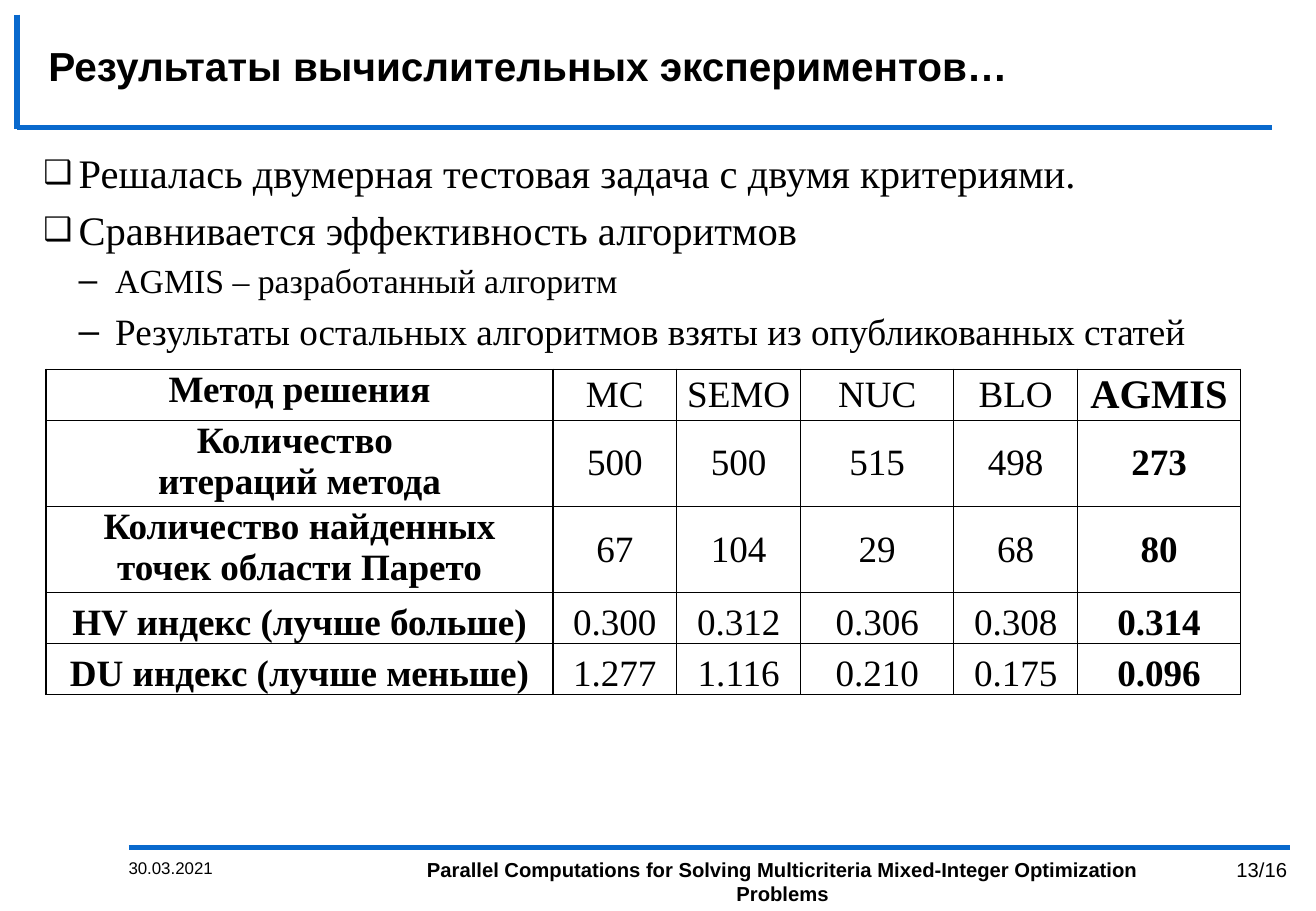
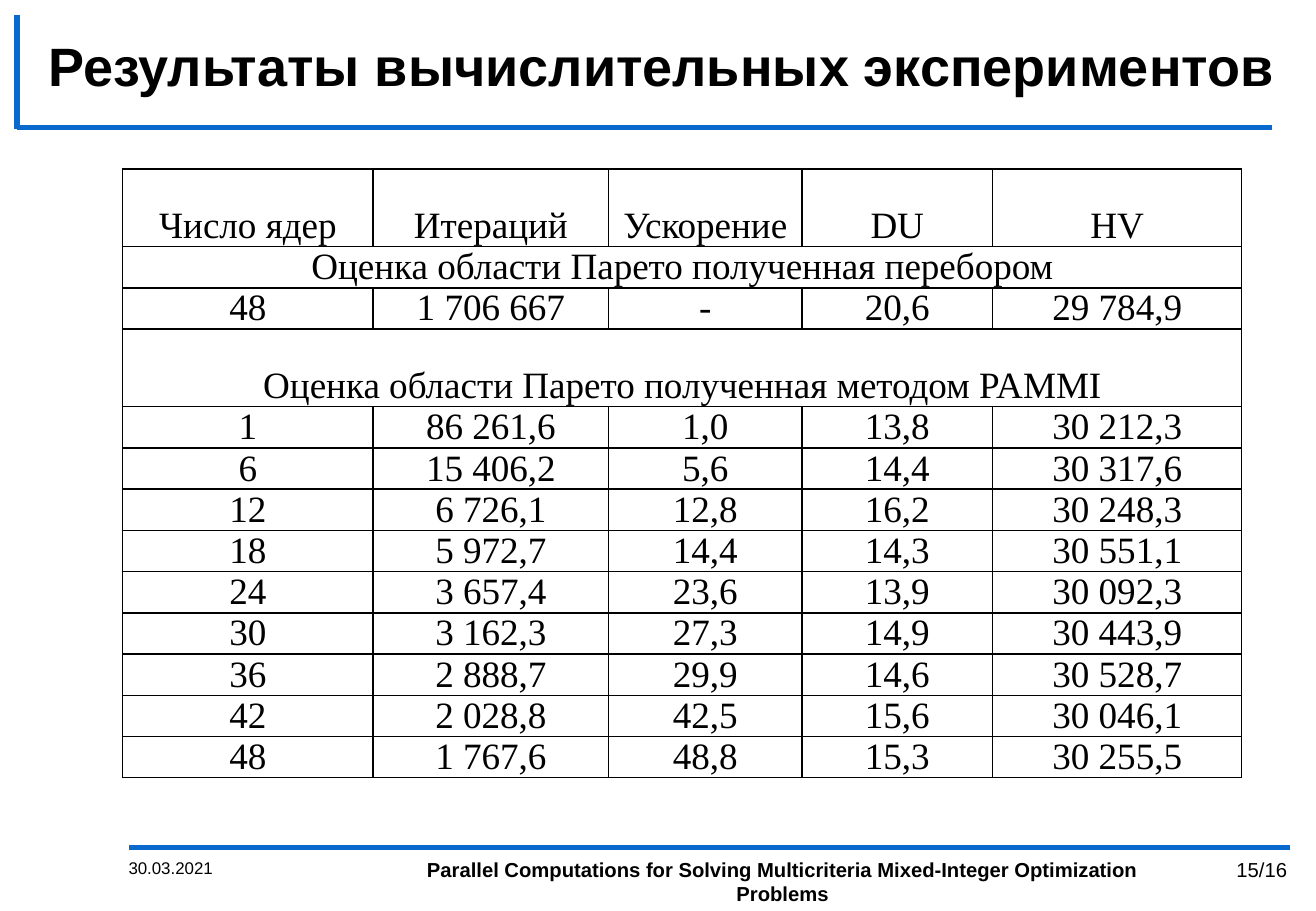
from pptx import Presentation
from pptx.dml.color import RGBColor
from pptx.enum.shapes import MSO_CONNECTOR
from pptx.enum.text import MSO_ANCHOR, PP_ALIGN
from pptx.oxml import parse_xml
from pptx.oxml.ns import nsdecls
from pptx.util import Inches, Pt

LINE = MSO_CONNECTOR.STRAIGHT
TOP, MID, LOW = MSO_ANCHOR.TOP, MSO_ANCHOR.MIDDLE, MSO_ANCHOR.BOTTOM
LEFT, CENTER, RIGHT = PP_ALIGN.LEFT, PP_ALIGN.CENTER, PP_ALIGN.RIGHT
BLUE, BLACK = "0969CD", "000000"
SANS, SERIF = "Arial", "Times New Roman"
LEAD = 1.11  # line height of table text, in font sizes

DATE = "30.03.2021"
TALK = ("Parallel Computations for Solving Multicriteria "
        "Mixed-Integer Optimization Problems")
TOTAL = 16

# Bullet styles: sign, size in percent, left edge, hanging indent
BOX = ("❑", 80, 0.29, 0.29)
DASH = ("–", 100, 0.59, 0.3)
POINTS = [
    ("Решалась двумерная тестовая задача с двумя критериями.", 24, BOX),
    ("Сравнивается эффективность алгоритмов", 24, BOX),
    ("AGMIS – разработанный алгоритм", 20, DASH),
    ("Результаты остальных алгоритмов взяты из опубликованных статей", 22, DASH),
]

METHODS = [
    ["Метод решения", "MC", "SEMO", "NUC", "BLO", "AGMIS"],
    ["Количество \nитераций метода", "500", "500", "515", "498", "273"],
    ["Количество найденных точек области Парето", "67", "104", "29", "68", "80"],
    ["HV индекс (лучше больше)", "0.300", "0.312", "0.306", "0.308", "0.314"],
    ["DU индекс (лучше меньше)", "1.277", "1.116", "0.210", "0.175", "0.096"],
]

# A row with one entry spans the whole table
CORES = [
    ["Число ядер", "Итераций", "Ускорение", "DU", "HV"],
    ["Оценка области Парето полученная перебором"],
    ["48", "1 706 667", "-", "20,6", "29 784,9"],
    ["Оценка области Парето полученная методом PAMMI"],
    ["1", "86 261,6", "1,0", "13,8", "30 212,3"],
    ["6", "15 406,2", "5,6", "14,4", "30 317,6"],
    ["12", "6 726,1", "12,8", "16,2", "30 248,3"],
    ["18", "5 972,7", "14,4", "14,3", "30 551,1"],
    ["24", "3 657,4", "23,6", "13,9", "30 092,3"],
    ["30", "3 162,3", "27,3", "14,9", "30 443,9"],
    ["36", "2 888,7", "29,9", "14,6", "30 528,7"],
    ["42", "2 028,8", "42,5", "15,6", "30 046,1"],
    ["48", "1 767,6", "48,8", "15,3", "30 255,5"],
]


def color(code):
    return RGBColor.from_string(code)


def write(para, text, size=22, font=SERIF, bold=False, align=LEFT,
          ink=BLACK, lead=None):
    para.text = text
    para.alignment = align
    if lead:
        para.line_spacing = Pt(lead * size)
    for run in para.runs:
        run.font.size, run.font.name, run.font.bold = Pt(size), font, bold
        run.font.color.rgb = color(ink)


def frame(slide, box, anchor=TOP):
    text = slide.shapes.add_textbox(*map(Inches, box)).text_frame
    text.word_wrap = True
    text.vertical_anchor = anchor
    return text


def rule(slide, x1, y1, x2, y2):
    line = slide.shapes.add_connector(LINE, *map(Inches, (x1, y1, x2, y2)))
    line.line.color.rgb = color(BLUE)
    line.line.width = Pt(3)
    line._element.spPr.append(parse_xml(f"<a:effectLst {nsdecls('a')}/>"))


def bullet(para, sign, scale, left, hang):
    props = para._p.get_or_add_pPr()
    props.set("marL", str(Inches(left)))
    props.set("indent", str(-Inches(hang)))
    for part in ('<a:spcBef {}><a:spcPct val="20000"/></a:spcBef>',
                 f'<a:buSzPct {{}} val="{scale * 1000}"/>',
                 f'<a:buFont {{}} typeface="{SANS}"/>',
                 f'<a:buChar {{}} char="{sign}"/>'):
        props.append(parse_xml(part.format(nsdecls("a"))))


def border(cell):
    props = cell._tc.get_or_add_tcPr()
    for side in ("lnL", "lnR", "lnT", "lnB"):
        props.append(parse_xml(
            f'<a:{side} {nsdecls("a")} w="12700"><a:solidFill>'
            f'<a:srgbClr val="{BLACK}"/></a:solidFill></a:{side}>'))


def grid(slide, left, top, cols, rows, data, style):
    """Draw a bordered table; style(row, col) gives anchor and text format."""
    table = slide.shapes.add_table(
        len(rows), len(cols), Inches(left), Inches(top),
        Inches(sum(cols)), Inches(sum(rows))).table
    table.first_row = table.horz_banding = False
    for col, width in zip(table.columns, cols):
        col.width = Inches(width)
    for r, (height, texts) in enumerate(zip(rows, data)):
        table.rows[r].height = Inches(height)
        if len(texts) == 1:
            table.cell(r, 0).merge(table.cell(r, len(cols) - 1))
        for c in range(len(cols)):
            cell = table.cell(r, c)
            border(cell)
            cell.fill.background()
            cell.margin_left = cell.margin_right = Inches(0.07)
            cell.margin_top = cell.margin_bottom = 0
            if c < len(texts):
                anchor, look = style(r, c)
                cell.vertical_anchor = anchor
                write(cell.text_frame.paragraphs[0], texts[c],
                      align=CENTER, lead=LEAD, **look)


def base(deck, title, size, page):
    """Add a slide with its rules, title and footer."""
    slide = deck.slides.add_slide(deck.slide_layouts[6])
    rule(slide, 1.06, 6.98, 10.62, 6.98)
    rule(slide, 0.14, 1.05, 10.47, 1.05)
    rule(slide, 0.14, 0.12, 0.14, 1.06)
    head = frame(slide, (0.3, 0.23, 10.35, 0.61), MID)
    write(head.paragraphs[0], title, size=size, font=SANS, bold=True)
    # Footer: date, talk, page
    for left, width, text, look in (
            (0.96, 2.24, DATE, {"size": 10}),
            (3.29, 6.3, TALK, {"size": 12, "bold": True, "align": CENTER}),
            (9.67, 1.02, f"{page}/{TOTAL}", {"size": 12, "align": RIGHT})):
        foot = frame(slide, (left, 7.01, width, 0.49))
        write(foot.paragraphs[0], text, font=SANS, **look)
    return slide


def points(slide, box):
    body = frame(slide, box)
    for i, (text, size, mark) in enumerate(POINTS):
        para = body.add_paragraph() if i else body.paragraphs[0]
        write(para, text, size=size)
        bullet(para, *mark)


def method_style(row, col):
    anchor = LOW if row > 2 else MID if col else TOP
    size = 24 if (row, col) == (0, 5) else 22
    return anchor, {"size": size, "bold": col in (0, 5)}


def core_style(row, col):
    return LOW, {}


def main():
    deck = Presentation()
    deck.slide_width, deck.slide_height = Inches(10.83), Inches(7.5)

    # Comparison of methods
    slide = base(deck, "Результаты вычислительных экспериментов…", 24, 13)
    points(slide, (0.26, 1.17, 10.27, 5.84))
    grid(slide, 0.38, 3.04, [4.17, 1.02, 1.02, 1.26, 1.02, 1.34],
         [0.42, 0.71, 0.71, 0.42, 0.42], METHODS, method_style)

    # Speedup by number of cores
    slide = base(deck, "Результаты вычислительных экспериментов", 32, 15)
    rows = [0.64 if r in (0, 3) else 0.32 for r in range(len(CORES))]
    grid(slide, 1.01, 1.39, [2.06, 1.94, 1.59, 1.57, 2.05], rows,
         CORES, core_style)

    deck.save("out.pptx")


if __name__ == "__main__":
    main()
